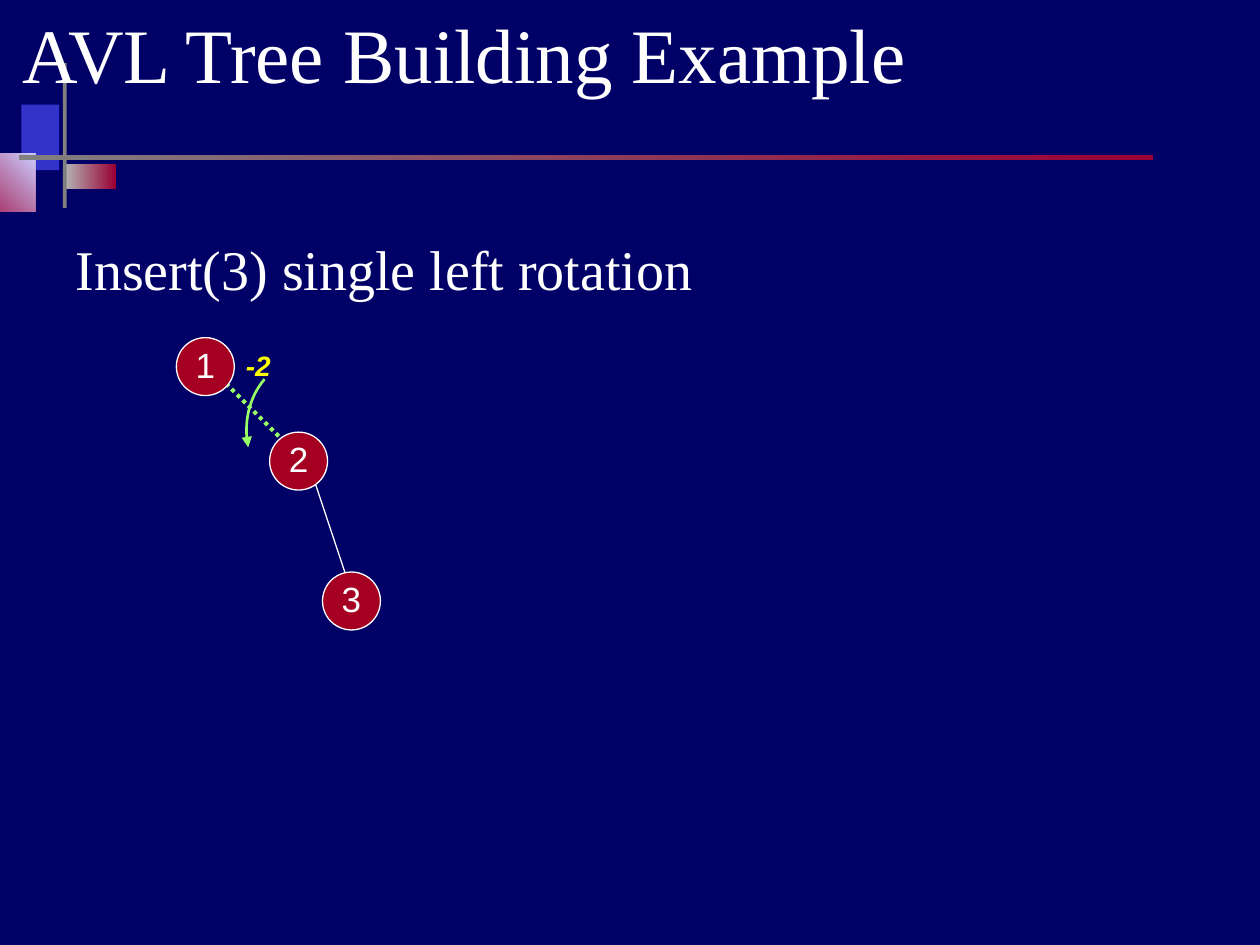
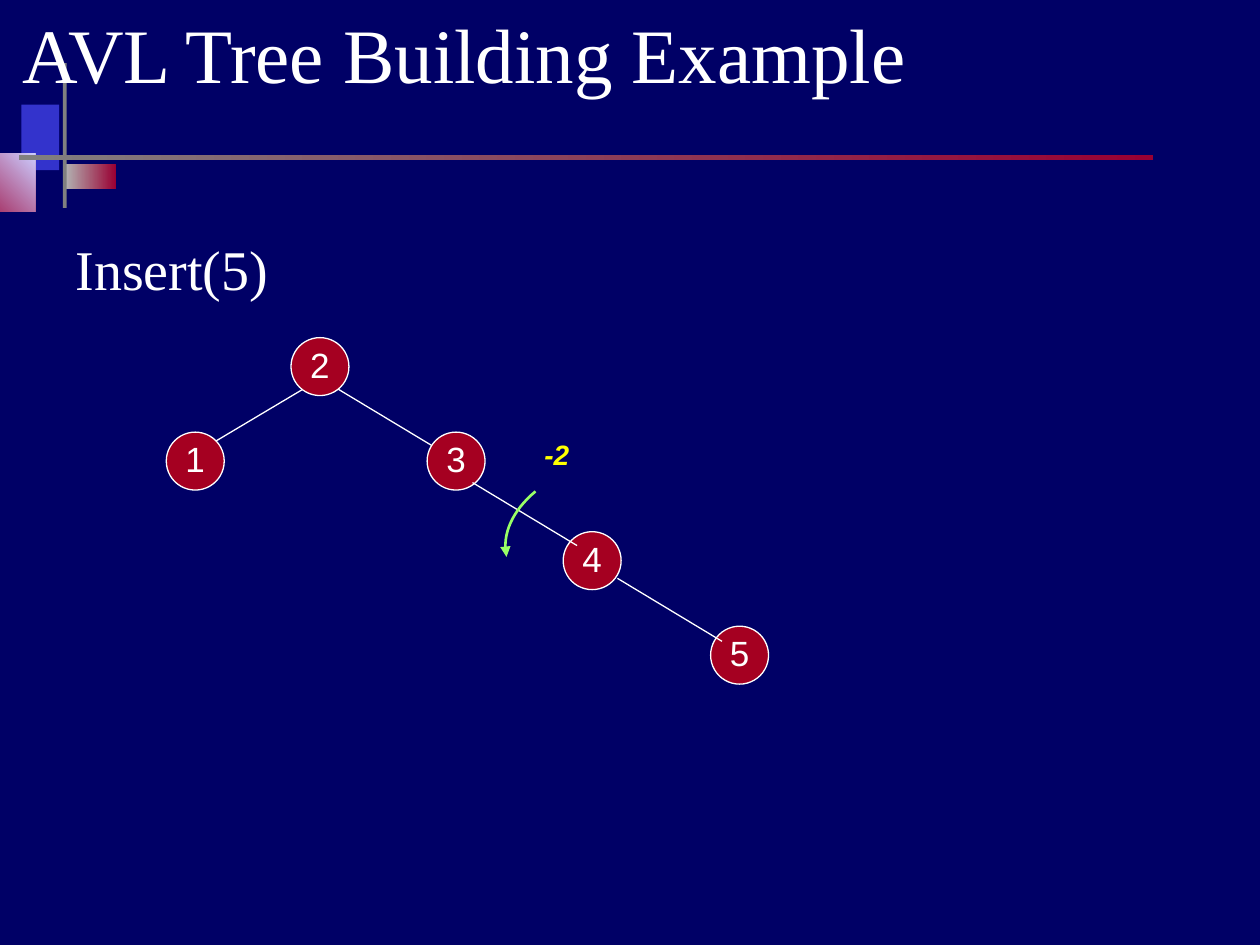
from dataclasses import dataclass

from lxml.etree import SubElement
from pptx import Presentation
from pptx.dml.color import RGBColor
from pptx.enum.dml import MSO_LINE_DASH_STYLE as Dash
from pptx.enum.shapes import MSO_CONNECTOR as Connector, MSO_SHAPE as Preset
from pptx.enum.text import MSO_ANCHOR as Anchor, PP_ALIGN as Align
from pptx.oxml.ns import qn
from pptx.util import Inches, Pt

NAVY, WHITE, CRIMSON, MAROON = "000066", "FFFFFF", "A50021", "990033"
GRAY, YELLOW, GREEN = "808080", "FFFF00", "99FF66"
SERIF, SANS = "Times New Roman", "Arial"
TITLE = "AVL Tree Building Example"
NODE_SIZE = 0.46
CURVE_STEPS = 16

Point = tuple[float, float]


@dataclass
class Bar:
    left: float
    top: float
    width: float
    height: float
    colors: tuple[str, ...]
    angle: float = 0


@dataclass
class Node:
    label: str
    left: float
    top: float


@dataclass
class Edge:
    start: Point
    end: Point
    color: str = WHITE
    width: float = 0.75
    dotted: bool = False


@dataclass
class Balance:
    center: Point
    label: str = "-2"


@dataclass
class Step:
    heading: str
    nodes: list[Node]
    edges_behind: list[Edge]
    edges_in_front: list[Edge]
    balance: Balance
    rotation_curve: tuple[Point, Point, Point, Point]


# Decoration shared by both slides
BARS = [
    Bar(0.17, 0.83, 0.3, 0.52, ("3333CC",)),
    Bar(0.52, 1.3, 0.4, 0.2, ("B2B2B2", MAROON)),
    Bar(-0.33, 1.22, 0.61, 0.46, (MAROON, "CCCCFF"), 45),
    Bar(0.5, 0.5, 0.03, 1.15, (GRAY,)),
    Bar(0.15, 1.23, 9, 0.04, (GRAY, MAROON)),
]

STEPS = [
    Step(
        "Insert(3) single left rotation",
        nodes=[Node("1", 1.4, 2.68), Node("2", 2.14, 3.43), Node("3", 2.56, 4.54)],
        edges_behind=[
            Edge((2.5, 3.83), (2.75, 4.58)),
            Edge((1.75, 3), (2.25, 3.5), GREEN, 2.25, dotted=True),
        ],
        edges_in_front=[],
        balance=Balance((2.05, 2.9)),
        rotation_curve=((2.1, 3.01), (1.98, 3.15), (1.93, 3.35), (1.97, 3.55)),
    ),
    Step(
        "Insert(5)",
        nodes=[
            Node("1", 1.32, 3.43),
            Node("2", 2.31, 2.68),
            Node("3", 3.39, 3.43),
            Node("4", 4.47, 4.22),
            Node("5", 5.64, 4.97),
        ],
        edges_behind=[Edge((2.42, 3.08), (1.58, 3.58)), Edge((2.67, 3.08), (3.5, 3.58))],
        edges_in_front=[Edge((3.75, 3.83), (4.58, 4.33)), Edge((4.9, 4.59), (5.73, 5.09))],
        balance=Balance((4.42, 3.61)),
        rotation_curve=((4.25, 3.9), (4.07, 4.05), (3.98, 4.24), (4.02, 4.42)),
    ),
]


def rgb(value: str) -> RGBColor:
    return RGBColor.from_string(value)


def style_line(line, color: str, width: float) -> None:
    line.color.rgb = rgb(color)
    line.width = Pt(width)


def write(shape, text: str, font_name: str, size: float, color: str = WHITE,
          align=Align.LEFT, anchor=Anchor.TOP, emphasis: bool = False, wrap: bool = True) -> None:
    frame = shape.text_frame
    frame.word_wrap = wrap
    frame.vertical_anchor = anchor
    paragraph = frame.paragraphs[0]
    paragraph.text = text
    paragraph.alignment = align
    font = paragraph.font
    font.name, font.size = font_name, Pt(size)
    font.bold = font.italic = emphasis
    font.color.rgb = rgb(color)


def add_text_box(slide, left: float, top: float, width: float, height: float):
    return slide.shapes.add_textbox(Inches(left), Inches(top), Inches(width), Inches(height))


def draw_bar(slide, bar: Bar) -> None:
    shape = slide.shapes.add_shape(
        Preset.RECTANGLE, Inches(bar.left), Inches(bar.top), Inches(bar.width), Inches(bar.height))
    shape.shadow.inherit = False
    shape.line.fill.background()
    if len(bar.colors) == 1:
        shape.fill.solid()
        shape.fill.fore_color.rgb = rgb(bar.colors[0])
        return
    shape.fill.gradient()
    shape.fill.gradient_angle = bar.angle
    for stop, color in zip(shape.fill.gradient_stops, bar.colors):
        stop.color.rgb = rgb(color)


def draw_node(slide, node: Node) -> None:
    shape = slide.shapes.add_shape(
        Preset.OVAL, Inches(node.left), Inches(node.top), Inches(NODE_SIZE), Inches(NODE_SIZE))
    shape.shadow.inherit = False
    shape.fill.solid()
    shape.fill.fore_color.rgb = rgb(CRIMSON)
    style_line(shape.line, WHITE, 0.75)
    frame = shape.text_frame
    frame.margin_left = frame.margin_right = frame.margin_top = 0
    frame.margin_bottom = Inches(0.04)
    write(shape, node.label, SANS, 20, align=Align.CENTER, anchor=Anchor.MIDDLE, wrap=False)


def draw_edge(slide, edge: Edge) -> None:
    connector = slide.shapes.add_connector(
        Connector.STRAIGHT, *(Inches(value) for value in edge.start + edge.end))
    style_line(connector.line, edge.color, edge.width)
    if edge.dotted:
        connector.line.dash_style = Dash.ROUND_DOT
    SubElement(connector._element.spPr, qn("a:effectLst"))


def draw_balance(slide, balance: Balance) -> None:
    width, height = 0.6, 0.37
    x, y = balance.center
    box = add_text_box(slide, x - width / 2, y - height / 2, width, height)
    write(box, balance.label, SANS, 16, YELLOW, Align.CENTER, emphasis=True)


def bezier_point(controls: tuple[Point, ...], t: float) -> Point:
    weights = ((1 - t) ** 3, 3 * t * (1 - t) ** 2, 3 * t ** 2 * (1 - t), t ** 3)
    x, y = (sum(w * point[axis] for w, point in zip(weights, controls)) for axis in (0, 1))
    return Inches(x), Inches(y)


def draw_rotation_arrow(slide, controls: tuple[Point, ...]) -> None:
    points = [bezier_point(controls, i / CURVE_STEPS) for i in range(CURVE_STEPS + 1)]
    builder = slide.shapes.build_freeform(*points[0])
    builder.add_line_segments(points[1:], close=False)
    arrow = builder.convert_to_shape()
    arrow.shadow.inherit = False
    arrow.fill.background()
    style_line(arrow.line, GREEN, 1.5)
    SubElement(arrow.line._get_or_add_ln(), qn("a:tailEnd"), type="triangle")


def build_slide(presentation, step: Step) -> None:
    slide = presentation.slides.add_slide(presentation.slide_layouts[6])
    slide.background.fill.solid()
    slide.background.fill.fore_color.rgb = rgb(NAVY)
    for bar in BARS:
        draw_bar(slide, bar)

    # Title and heading
    write(add_text_box(slide, 0.08, -0.08, 9, 1), TITLE, SERIF, 44, anchor=Anchor.MIDDLE)
    write(add_text_box(slide, 0.5, 1.81, 9, 0.69), step.heading, SERIF, 32)

    # Tree
    for edge in step.edges_behind:
        draw_edge(slide, edge)
    for node in step.nodes:
        draw_node(slide, node)
    for edge in step.edges_in_front:
        draw_edge(slide, edge)
    draw_balance(slide, step.balance)
    draw_rotation_arrow(slide, step.rotation_curve)


def main() -> None:
    presentation = Presentation()
    presentation.slide_width, presentation.slide_height = Inches(10), Inches(7.5)
    for step in STEPS:
        build_slide(presentation, step)
    presentation.save("out.pptx")


if __name__ == "__main__":
    main()
